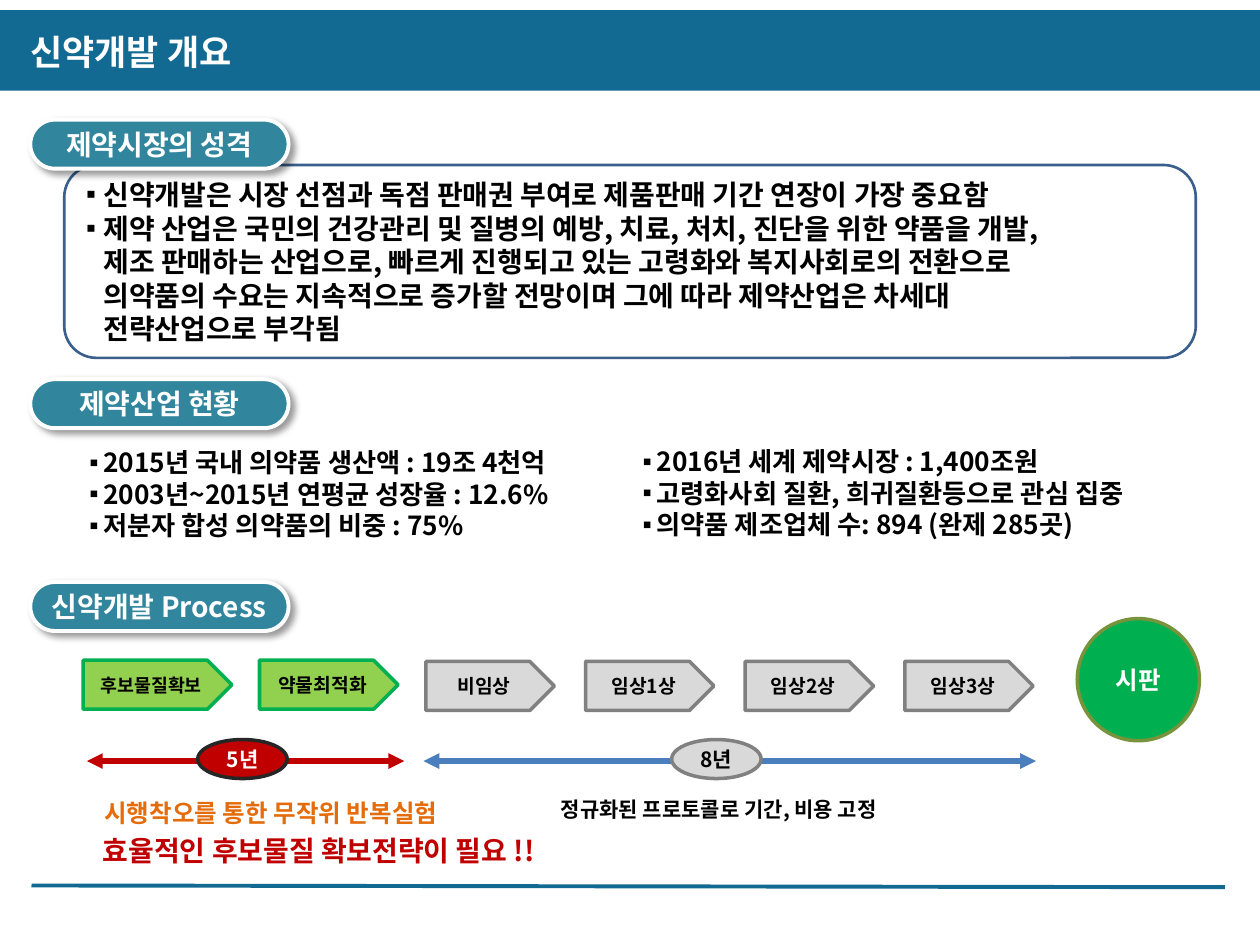
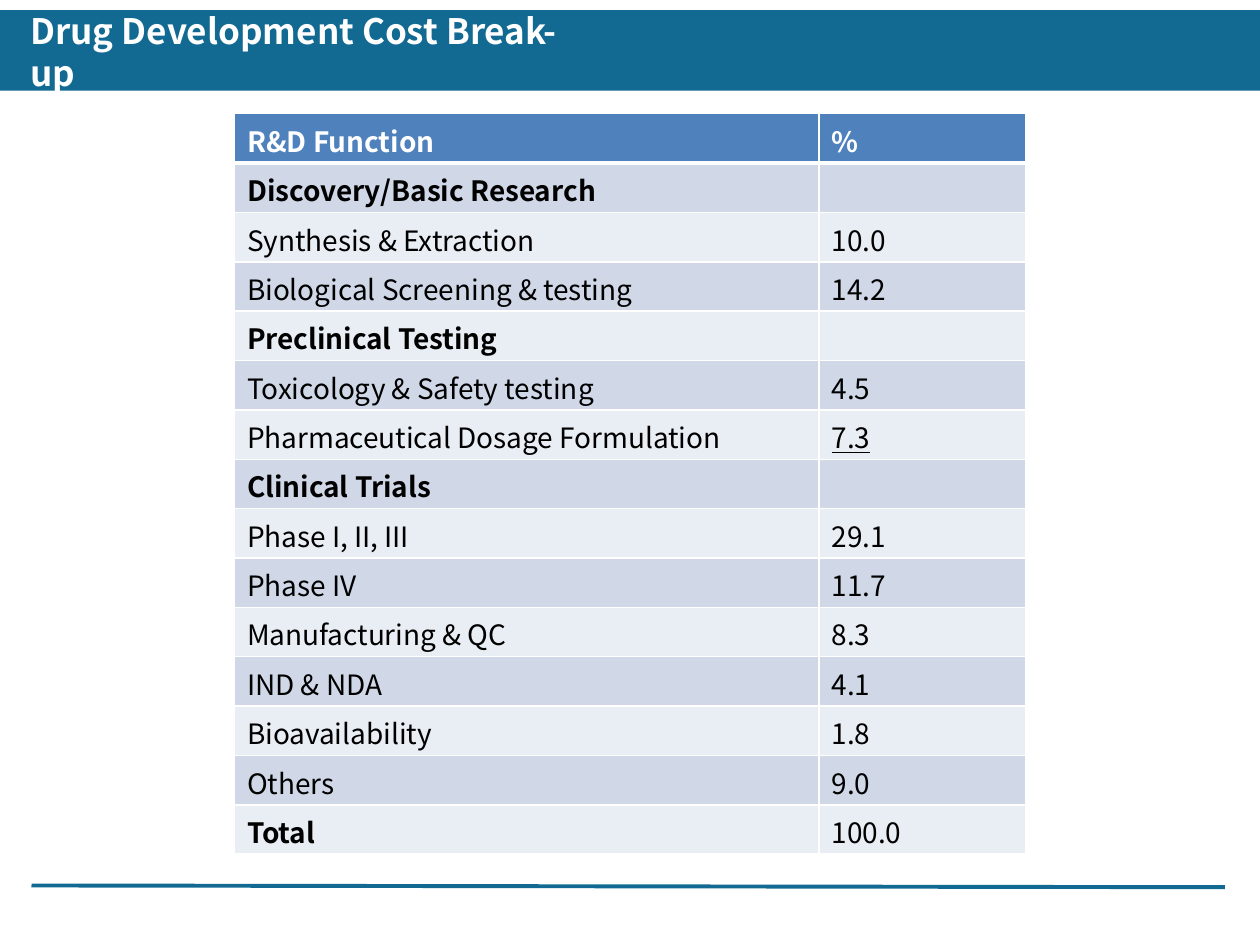
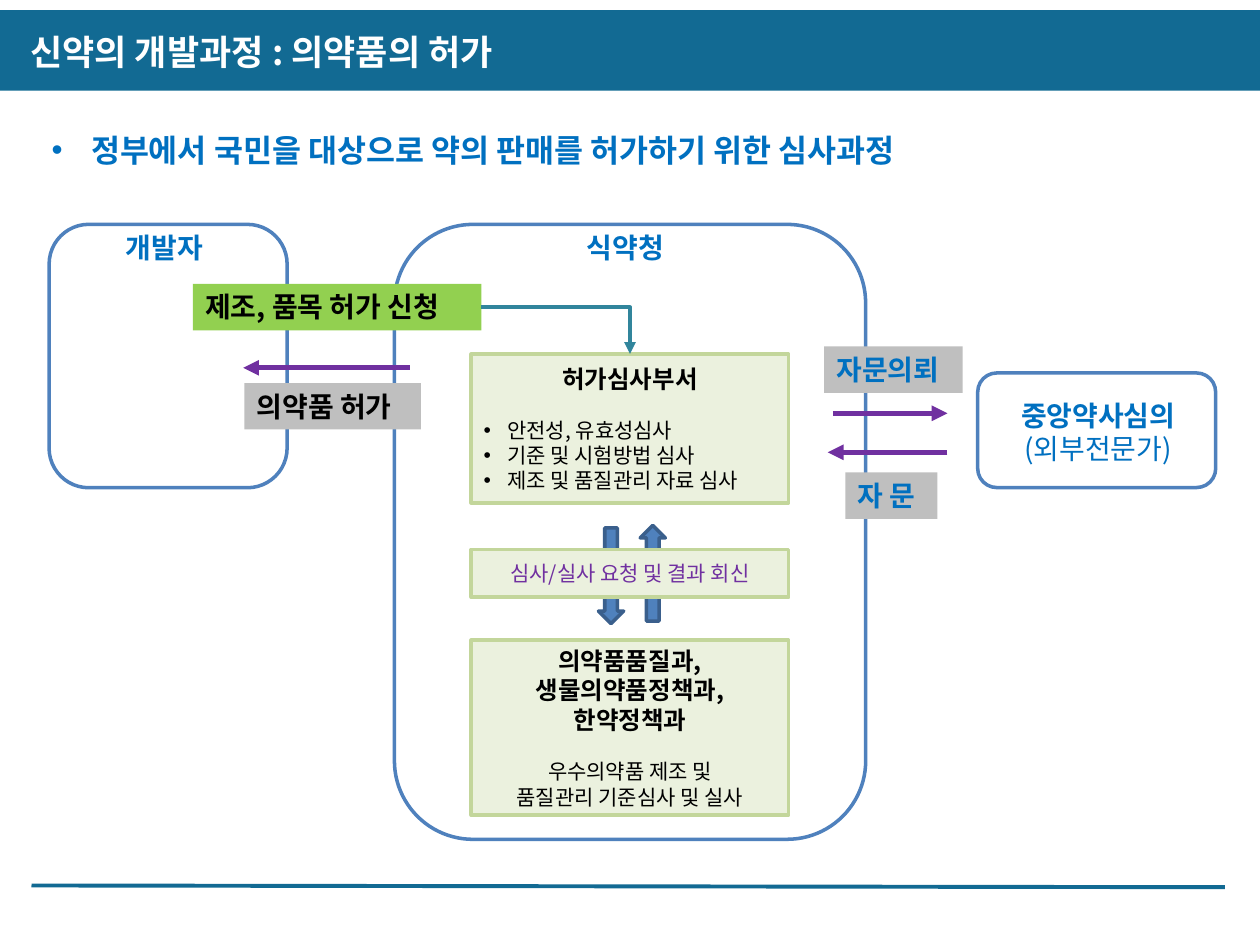
"""Build three slides on new drug development, its cost and its approval."""
from dataclasses import dataclass
from typing import NamedTuple, Optional, Sequence

from lxml import etree
from pptx import Presentation
from pptx.dml.color import RGBColor
from pptx.enum.shapes import MSO_CONNECTOR, MSO_SHAPE
from pptx.enum.text import MSO_ANCHOR, MSO_AUTO_SIZE, PP_ALIGN
from pptx.oxml.ns import qn
from pptx.util import Pt

FONT = "Noto Sans CJK KR"
WHITE = RGBColor(0xFF, 0xFF, 0xFF)
BLACK = RGBColor(0x00, 0x00, 0x00)
BAND = RGBColor(0x12, 0x6A, 0x93)
TEAL = RGBColor(0x31, 0x85, 0x9C)
NAVY = RGBColor(0x3A, 0x5F, 0x8C)
BLUE = RGBColor(0x4F, 0x81, 0xBD)
SPAN_BLUE = RGBColor(0x4B, 0x7E, 0xBC)
TEXT_BLUE = RGBColor(0x00, 0x70, 0xC0)
LIME = RGBColor(0x92, 0xD0, 0x50)
GREEN = RGBColor(0x00, 0xB0, 0x50)
OLIVE = RGBColor(0x77, 0x93, 0x3C)
RED = RGBColor(0xC0, 0x00, 0x00)
ORANGE = RGBColor(0xE4, 0x6C, 0x0A)
PURPLE = RGBColor(0x70, 0x30, 0xA0)
CHARCOAL = RGBColor(0x26, 0x26, 0x26)
GRAY = RGBColor(0x80, 0x80, 0x80)
LABEL_GRAY = RGBColor(0xBF, 0xBF, 0xBF)
LIGHT_GRAY = RGBColor(0xD9, 0xD9, 0xD9)
PALE_GREEN = RGBColor(0xEB, 0xF1, 0xDE)
SOFT_GREEN = RGBColor(0xC3, 0xD6, 0x9B)
ROW_DARK = RGBColor(0xD0, 0xD8, 0xE8)
ROW_LIGHT = RGBColor(0xE9, 0xED, 0xF4)

TITLE_ONLY, TITLE_CONTENT, TWO_CONTENT = 5, 1, 3


class Box(NamedTuple):
    left: float
    top: float
    width: float
    height: float


@dataclass(frozen=True)
class Line:
    text: str
    size: float
    color: RGBColor = BLACK
    bold: bool = True
    align: PP_ALIGN = PP_ALIGN.LEFT
    bullet: str = ""
    margin: float = 0
    before: float = 0
    underline: bool = False


@dataclass(frozen=True)
class Look:
    fill: Optional[RGBColor] = None
    outline: Optional[RGBColor] = None
    weight: float = 2


PILL = Look(TEAL, WHITE, 2.25)
CLINICAL = Look(LIGHT_GRAY, GRAY)
DISCOVERY = Look(LIME, GREEN)
PARTY = Look(outline=BLUE)
DEPARTMENT = Look(PALE_GREEN, SOFT_GREEN)
FLOW = Look(BLUE, NAVY)


def centered(text: str, size: float, color: RGBColor = BLACK, bold: bool = True, before: float = 0) -> Line:
    """Return a centred line."""
    return Line(text, size, color, bold, PP_ALIGN.CENTER, before=before)


def format_paragraph(paragraph, line: Line) -> None:
    """Write one line with its bullet, indent and font."""
    paragraph.text = line.text
    properties = paragraph._p.get_or_add_pPr()
    properties.set("marL", str(Pt(line.margin)))
    properties.set("indent", str(Pt(-line.margin if line.bullet else 0)))
    if line.bullet:
        etree.SubElement(properties, qn("a:buFont"), typeface="Arial")
        etree.SubElement(properties, qn("a:buChar"), char=line.bullet)
    paragraph.alignment = line.align
    paragraph.space_before = Pt(line.before)
    font = paragraph.font
    font.name, font.size, font.bold = FONT, Pt(line.size), line.bold
    font.underline = line.underline
    font.color.rgb = line.color
    etree.SubElement(properties.find(qn("a:defRPr")), qn("a:ea"), typeface=FONT)


def write(frame, lines: Sequence[Line], wrap: bool = True, grow: bool = False,
          anchor: MSO_ANCHOR = MSO_ANCHOR.MIDDLE) -> None:
    """Fill a text frame with lines."""
    frame.word_wrap = wrap
    frame.auto_size = MSO_AUTO_SIZE.SHAPE_TO_FIT_TEXT if grow else MSO_AUTO_SIZE.NONE
    frame.vertical_anchor = anchor
    for index, line in enumerate(lines):
        paragraph = frame.add_paragraph() if index else frame.paragraphs[0]
        format_paragraph(paragraph, line)


def place(shape, box: Box) -> None:
    """Move a placeholder to a box."""
    shape.left, shape.top, shape.width, shape.height = map(Pt, box)


def add_block(slide, kind: MSO_SHAPE, box: Box, look: Look, lines: Sequence[Line] = (), wrap: bool = True):
    """Draw a preset shape with optional text."""
    block = slide.shapes.add_shape(kind, *map(Pt, box))
    block.shadow.inherit = False
    if look.fill is None:
        block.fill.background()
    else:
        block.fill.solid()
        block.fill.fore_color.rgb = look.fill
    if look.outline is None:
        block.line.fill.background()
    else:
        block.line.color.rgb = look.outline
        block.line.width = Pt(look.weight)
    if lines:
        write(block.text_frame, lines, wrap)
    return block


def add_label(slide, box: Box, *lines: Line, fill: Optional[RGBColor] = None) -> None:
    """Add a label that hugs its text."""
    label = slide.shapes.add_textbox(*map(Pt, box))
    if fill is not None:
        label.fill.solid()
        label.fill.fore_color.rgb = fill
    write(label.text_frame, lines, wrap=False, grow=True, anchor=MSO_ANCHOR.TOP)


def add_line(slide, start: tuple[float, float], end: tuple[float, float], color: RGBColor,
             weight: float = 3, heads: Sequence[str] = (), bent: bool = False):
    """Draw a straight or bent line with optional arrowheads."""
    kind = MSO_CONNECTOR.ELBOW if bent else MSO_CONNECTOR.STRAIGHT
    line = slide.shapes.add_connector(kind, *map(Pt, (*start, *end)))
    line.line.color.rgb = color
    line.line.width = Pt(weight)
    properties = line._element.spPr
    if bent:
        properties.find(qn("a:prstGeom")).set("prst", "bentConnector2")
    for head in heads:
        etree.SubElement(properties.find(qn("a:ln")), qn(f"a:{head}"), type="triangle")
    etree.SubElement(properties, qn("a:effectLst"))
    return line


def add_pill(slide, top: float, text: str) -> None:
    """Draw a section heading with a soft shadow."""
    pill = add_block(slide, MSO_SHAPE.ROUNDED_RECTANGLE, Box(17.3, top, 147.6, 28), PILL,
                     [centered(text, 16, WHITE)], wrap=False)
    pill.adjustments[0] = 0.5
    effects = pill._element.spPr.find(qn("a:effectLst"))
    shadow = etree.SubElement(effects, qn("a:outerShdw"), blurRad=str(Pt(4)), dist=str(Pt(3)),
                              dir="2700000", algn="tl", rotWithShape="0")
    shade = etree.SubElement(shadow, qn("a:srgbClr"), val="000000")
    etree.SubElement(shade, qn("a:alpha"), val="40000")


def add_slide(deck, layout: int, title: str, title_width: float):
    """Add a slide with its title."""
    slide = deck.slides.add_slide(deck.slide_layouts[layout])
    place(slide.shapes.title, Box(10.1, 13.7, title_width, 31.5))
    write(slide.shapes.title.text_frame, [Line(title, 20, WHITE)], grow=True)
    return slide


def add_frame(deck, slide) -> None:
    """Put the title band and the footer line on the slide master."""
    band = add_block(slide, MSO_SHAPE.RECTANGLE, Box(-1.4, 5.8, 722.9, 46), Look(BAND))
    footer = add_line(slide, (18, 506), (700, 507), BAND, 2.25)
    for part in (band, footer):
        deck.slide_master.shapes.element.insert(2, part._element)


def build_overview(deck) -> None:
    """Build the overview of drug development."""
    slide = add_slide(deck, TWO_CONTENT, "신약개발 개요", 142.6)
    add_frame(deck, slide)

    market = [
        ("▪", "신약개발은 시장 선점과 독점 판매권 부여로 제품판매 기간 연장이 가장 중요함"),
        ("▪", "제약 산업은 국민의 건강관리 및 질병의 예방, 치료, 처치, 진단을 위한 약품을 개발,"),
        ("", "제조 판매하는 산업으로, 빠르게 진행되고 있는 고령화와 복지사회로의 전환으로"),
        ("", "의약품의 수요는 지속적으로 증가할 전망이며 그에 따라 제약산업은 차세대"),
        ("", "전략산업으로 부각됨"),
    ]
    add_block(slide, MSO_SHAPE.ROUNDED_RECTANGLE, Box(36.7, 94.3, 646.6, 110.2), Look(outline=NAVY, weight=1.5),
              [Line(text, 16, bullet=bullet, margin=10) for bullet, text in market])

    status = [
        (Box(43.9, 251.3, 308.2, 62),
         ["2015년 국내 의약품 생산액 : 19조 4천억", "2003년~2015년 연평균 성장율 : 12.6%",
          "저분자 합성 의약품의 비중 : 75%"]),
        (Box(360, 250.6, 332, 62),
         ["2016년 세계 제약시장 : 1,400조원", "고령화사회 질환, 희귀질환등으로 관심 집중",
          "의약품 제조업체 수: 894 (완제 285곳)"]),
    ]
    for column, (box, facts) in enumerate(status, start=1):
        place(slide.placeholders[column], box)
        write(slide.placeholders[column].text_frame,
              [Line(fact, 15, bullet="▪", margin=8) for fact in facts])

    for top, heading in ((68.4, "제약시장의 성격"), (216.7, "제약산업 현황"), (332.6, "신약개발 Process")):
        add_pill(slide, top, heading)

    steps = [
        (Box(47.5, 377.3, 85, 28), DISCOVERY, "후보물질확보", 10.5),
        (Box(148.3, 377.3, 79.2, 28), DISCOVERY, "약물최적화", 11),
    ]
    steps += [(Box(243.4 + 91.2 * index, 378, 73.4, 28), CLINICAL, stage, 11)
              for index, stage in enumerate(("비임상", "임상1상", "임상2상", "임상3상"))]
    for box, look, stage, size in steps:
        add_block(slide, MSO_SHAPE.PENTAGON, box, look, [centered(stage, size)])
    add_block(slide, MSO_SHAPE.OVAL, Box(615.6, 353.5, 69.8, 69.8), Look(GREEN, OLIVE),
              [centered("시판", 14, WHITE)])

    periods = [
        (242, 592, SPAN_BLUE, 383.8, CLINICAL, centered("8년", 12)),
        (49.7, 231, RED, 113, Look(RED, CHARCOAL), centered("5년", 12, WHITE)),
    ]
    for start, end, color, left, look, years in periods:
        add_line(slide, (start, 434.9), (end, 434.9), color, heads=("headEnd", "tailEnd"))
        add_block(slide, MSO_SHAPE.OVAL, Box(left, 422.6, 51.1, 22.3), look, [years])

    add_label(slide, Box(302.4, 451.4, 216.7, 21.6), centered("정규화된 프로토콜로 기간, 비용 고정", 12))
    add_label(slide, Box(52.6, 452.2, 227.5, 24.5), Line("시행착오를 통한 무작위 반복실험", 14, ORANGE))
    add_label(slide, Box(51.8, 473, 290.2, 26.6), Line("효율적인 후보물질 확보전략이 필요 !!", 16, RED))


def add_border(cell, side: str, weight: float) -> None:
    """Add a white border to one side of a cell."""
    border = etree.Element(qn(f"a:{side}"), w=str(Pt(weight)))
    fill = etree.SubElement(border, qn("a:solidFill"))
    etree.SubElement(fill, qn("a:srgbClr"), val=str(WHITE))
    properties = cell._tc.get_or_add_tcPr()
    properties.insert(len(properties.findall("*")), border)


def build_costs(deck) -> None:
    """Build the cost table."""
    slide = add_slide(deck, TITLE_ONLY, "Drug Development Cost Break-up", 340.6)
    costs = [
        ("R&D Function", "%"),
        ("Discovery/Basic Research", ""),
        ("Synthesis & Extraction", "10.0"),
        ("Biological Screening & testing", "14.2"),
        ("Preclinical Testing", ""),
        ("Toxicology & Safety testing", "4.5"),
        ("Pharmaceutical Dosage Formulation", "7.3"),
        ("Clinical Trials", ""),
        ("Phase I, II, III", "29.1"),
        ("Phase IV", "11.7"),
        ("Manufacturing & QC", "8.3"),
        ("IND & NDA", "4.1"),
        ("Bioavailability", "1.8"),
        ("Others", "9.0"),
        ("Total", "100.0"),
    ]
    row_height = 28.22
    table = slide.shapes.add_table(len(costs), 2, Pt(134), Pt(65), Pt(452), Pt(row_height * len(costs))).table
    for column, width in zip(table.columns, (334, 118)):
        column.width = Pt(width)
    for index, (row, entry) in enumerate(zip(table.rows, costs)):
        row.height = Pt(row_height)
        header = index == 0
        group = entry[1] == "" or entry[0] == "Total"
        for column, text in enumerate(entry):
            cell = row.cells[column]
            format_paragraph(cell.text_frame.paragraphs[0],
                             Line(text, 16, WHITE if header else BLACK, header or (group and column == 0),
                                  underline=text == "7.3"))
            for side in ("lnL", "lnR", "lnT", "lnB"):
                add_border(cell, side, 3 if (header and side == "lnB") or (index == 1 and side == "lnT") else 1)
            cell.fill.solid()
            cell.fill.fore_color.rgb = BLUE if header else ROW_DARK if index % 2 else ROW_LIGHT


def build_approval(deck) -> None:
    """Build the approval process diagram."""
    slide = add_slide(deck, TITLE_CONTENT, "신약의 개발과정 : 의약품의 허가", 310.3)
    summary = slide.placeholders[1]
    place(summary, Box(22.3, 71.3, 555, 28.8))
    write(summary.text_frame, [Line("정부에서 국민을 대상으로 약의 판매를 허가하기 위한 심사과정", 18, TEXT_BLUE,
                                    bullet="•", margin=22.5)], anchor=MSO_ANCHOR.TOP)

    for left, top, rotation in ((365.8, 300.2, 180), (342, 301.7, 0)):
        flow = add_block(slide, MSO_SHAPE.DOWN_ARROW, Box(left, top, 14.4, 54.7), FLOW)
        flow.rotation = rotation
    for party in (Box(28.1, 128.2, 136, 150.5), Box(225.4, 128.2, 269.3, 351.4), Box(558.7, 213.1, 136, 65.5)):
        add_block(slide, MSO_SHAPE.ROUNDED_RECTANGLE, party, PARTY)

    labels = [
        (Box(64.8, 128.2, 63.4, 26.6), "개발자", TEXT_BLUE, None),
        (Box(328.3, 128.2, 63.4, 26.6), "식약청", TEXT_BLUE, None),
        (Box(110.2, 162.2, 164.9, 26.6), "제조, 품목 허가 신청", BLACK, LIME),
        (Box(139.7, 218.9, 100.8, 26.6), "의약품 허가", BLACK, LABEL_GRAY),
        (Box(470.9, 198, 79.2, 26.6), "자문의뢰", TEXT_BLUE, LABEL_GRAY),
        (Box(483.1, 270, 52.6, 26.6), "자 문", TEXT_BLUE, LABEL_GRAY),
    ]
    for box, text, color, fill in labels:
        add_label(slide, box, Line(text, 16, color), fill=fill)
    add_label(slide, Box(571.7, 223.9, 111.6, 46), centered("중앙약사심의", 16, TEXT_BLUE),
              centered("(외부전문가)", 16, TEXT_BLUE, bold=False))

    for start, end, level in ((475.9, 541.4, 236.2), (541.4, 473, 258.5), (234, 139, 210.2)):
        add_line(slide, (start, level), (end, level), PURPLE, heads=("tailEnd",))

    gap = 14
    reviews = ["안전성, 유효성심사", "기준 및 시험방법 심사", "제조 및 품질관리 자료 심사"]
    departments = [
        (202.3, 85, [centered("허가심사부서", 14)] + [
            Line(review, 12, bold=False, bullet="•", margin=13.5, before=0 if index else gap)
            for index, review in enumerate(reviews)]),
        (313.9, 27.4, [centered("심사/실사 요청 및 결과 회신", 12, PURPLE, bold=False)]),
        (365.8, 100, [centered(name, 14) for name in ("의약품품질과,", "생물의약품정책과,", "한약정책과")] + [
            centered("우수의약품 제조 및", 12, bold=False, before=gap),
            centered("품질관리 기준심사 및 실사", 12, bold=False)]),
    ]
    for top, height, lines in departments:
        add_block(slide, MSO_SHAPE.RECTANGLE, Box(269.3, top, 181.4, height), DEPARTMENT, lines)
    add_line(slide, (275, 175.7), (360, 202.3), TEAL, 2.25, ("tailEnd",), bent=True)


def main() -> None:
    """Build and save the deck."""
    deck = Presentation()
    deck.slide_width, deck.slide_height = Pt(720), Pt(540)
    build_overview(deck)
    build_costs(deck)
    build_approval(deck)
    deck.save("out.pptx")


if __name__ == "__main__":
    main()
